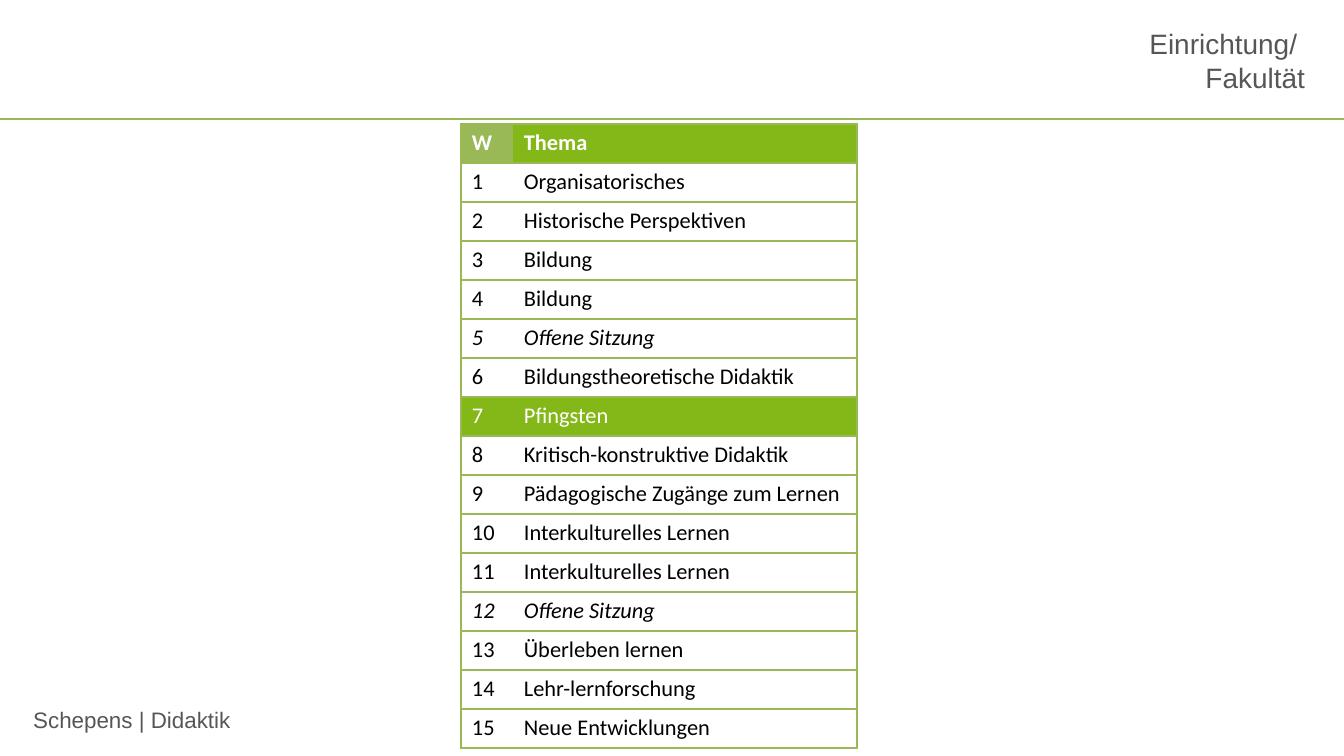
from pptx import Presentation
from pptx.util import Pt
from pptx.dml.color import RGBColor
from pptx.enum.shapes import MSO_CONNECTOR
from pptx.enum.text import MSO_ANCHOR, PP_ALIGN
from pptx.oxml.ns import qn
from lxml import etree

LINE = MSO_CONNECTOR.STRAIGHT
BOTTOM = MSO_ANCHOR.BOTTOM
LEFT, RIGHT = PP_ALIGN.LEFT, PP_ALIGN.RIGHT

THEME = {
    "rule": "98B955", "green": "84B818", "white": "FFFFFF",
    "black": "000000", "grey": "565656",
    "head": 15, "body": 12, "width": 0.75,
    "sans": "Arial", "grid": "Calibri",
}
SCALE = 6804  # EMU per px


def px(*nums):
    return [n * SCALE for n in nums]


def write(par, text, font, size, color, bold=False, italic=False):
    run = par.add_run()
    run.text = text
    run.font.name = THEME[font]
    run.font.size = Pt(THEME[size])
    run.font.color.rgb = RGBColor.from_string(THEME[color])
    run.font.bold = bold
    run.font.italic = italic


deck = Presentation()
deck.slide_width, deck.slide_height = px(1344, 756)
slide = deck.slides.add_slide(deck.slide_layouts[6])

# Rule below the header
rule = slide.shapes.add_connector(LINE, *px(0, 119, 1351, 119))
rule.line.color.rgb = RGBColor.from_string(THEME["rule"])
rule.line.width = Pt(THEME["width"])
etree.SubElement(rule._element.spPr, qn("a:effectLst"))

# Footer and faculty name
labels = [
    ((20, 700, 449, 38), ["Schepens | Didaktik"], "body", LEFT),
    ((723, 27, 582, 67), ["Einrichtung/ ", "Fakultät"], "head", RIGHT),
]
for place, lines, size, align in labels:
    frame = slide.shapes.add_textbox(*px(*place)).text_frame
    frame.word_wrap = True
    if align == RIGHT:
        frame.vertical_anchor = BOTTOM
        frame.margin_left = frame.margin_right = 0
        frame.margin_top = frame.margin_bottom = 0
    for n, text in enumerate(lines):
        par = frame.add_paragraph() if n else frame.paragraphs[0]
        par.alignment = align
        write(par, text, "sans", size, "grey")

# Weekly topics
topics = [
    "Organisatorisches", "Historische Perspektiven", "Bildung", "Bildung",
    "Offene Sitzung", "Bildungstheoretische Didaktik", "Pfingsten",
    "Kritisch-konstruktive Didaktik", "Pädagogische Zugänge zum Lernen",
    "Interkulturelles Lernen", "Interkulturelles Lernen", "Offene Sitzung",
    "Überleben lernen", "Lehr-lernforschung", "Neue Entwicklungen",
]
rows = [("W", "Thema")] + [(str(n), t) for n, t in enumerate(topics, 1)]
high = 39
table = slide.shapes.add_table(
    len(rows), 2, *px(461, 124, 396, high * len(rows))).table
for col, wide in zip(table.columns, px(52, 344)):
    col.width = wide
for row in table.rows:
    row.height = high * SCALE

for r, row in enumerate(rows):
    top = r == 0
    free = row[1] == "Pfingsten"
    for c, text in enumerate(row):
        cell = table.cell(r, c)
        cell.margin_left, cell.margin_right = px(11, 11)
        cell.margin_top, cell.margin_bottom = px(5, 5)

        # Frame and row lines, none between the columns
        props = cell._tc.get_or_add_tcPr()
        inner = "lnL" if c else "lnR"
        for side in ("lnL", "lnR", "lnT", "lnB"):
            edge = etree.SubElement(props, qn("a:" + side))
            if side == inner:
                etree.SubElement(edge, qn("a:noFill"))
                continue
            edge.set("w", str(Pt(THEME["width"])))
            fill = etree.SubElement(edge, qn("a:solidFill"))
            etree.SubElement(fill, qn("a:srgbClr"), val=THEME["rule"])

        # Fill and text
        shade = "rule" if top and c == 0 else "green" if top or free else "white"
        cell.fill.solid()
        cell.fill.fore_color.rgb = RGBColor.from_string(THEME[shade])
        write(cell.text_frame.paragraphs[0], text, "grid", "body",
              "white" if top or free else "black",
              bold=top, italic=row[1] == "Offene Sitzung")

deck.save("out.pptx")
